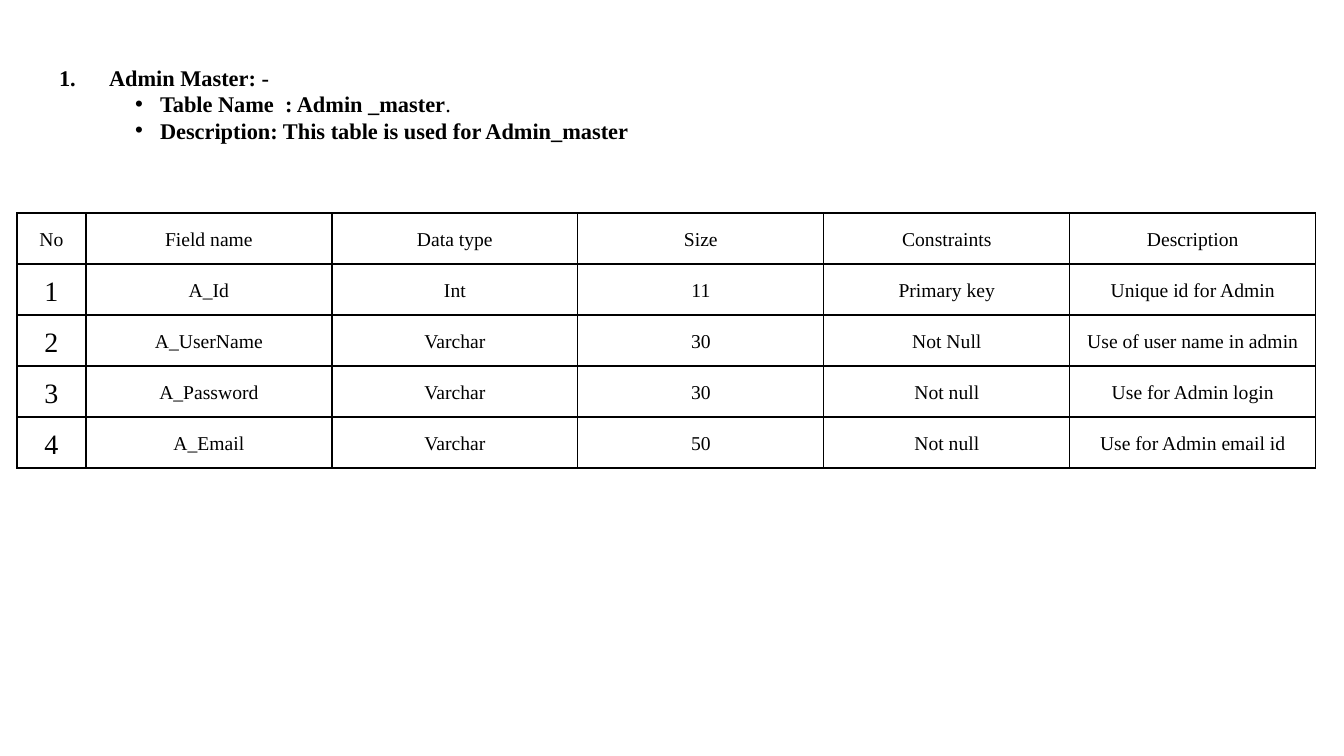
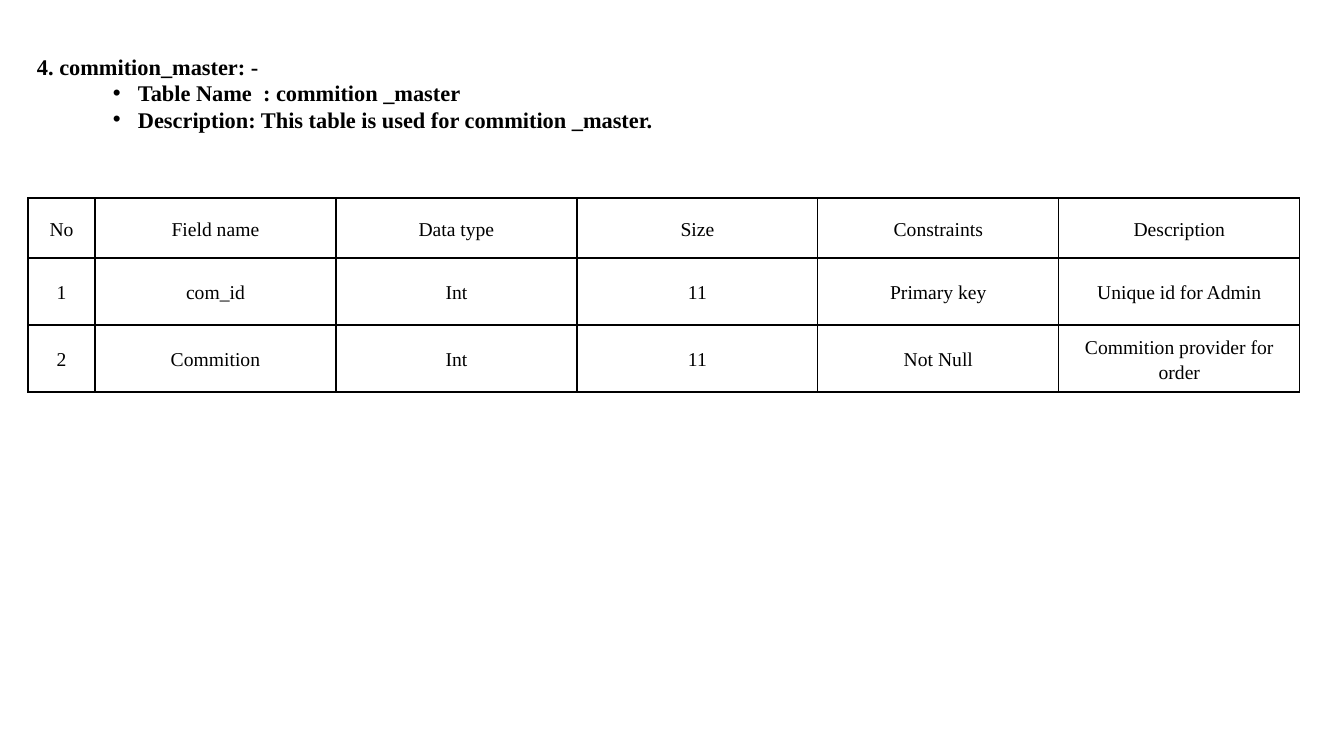
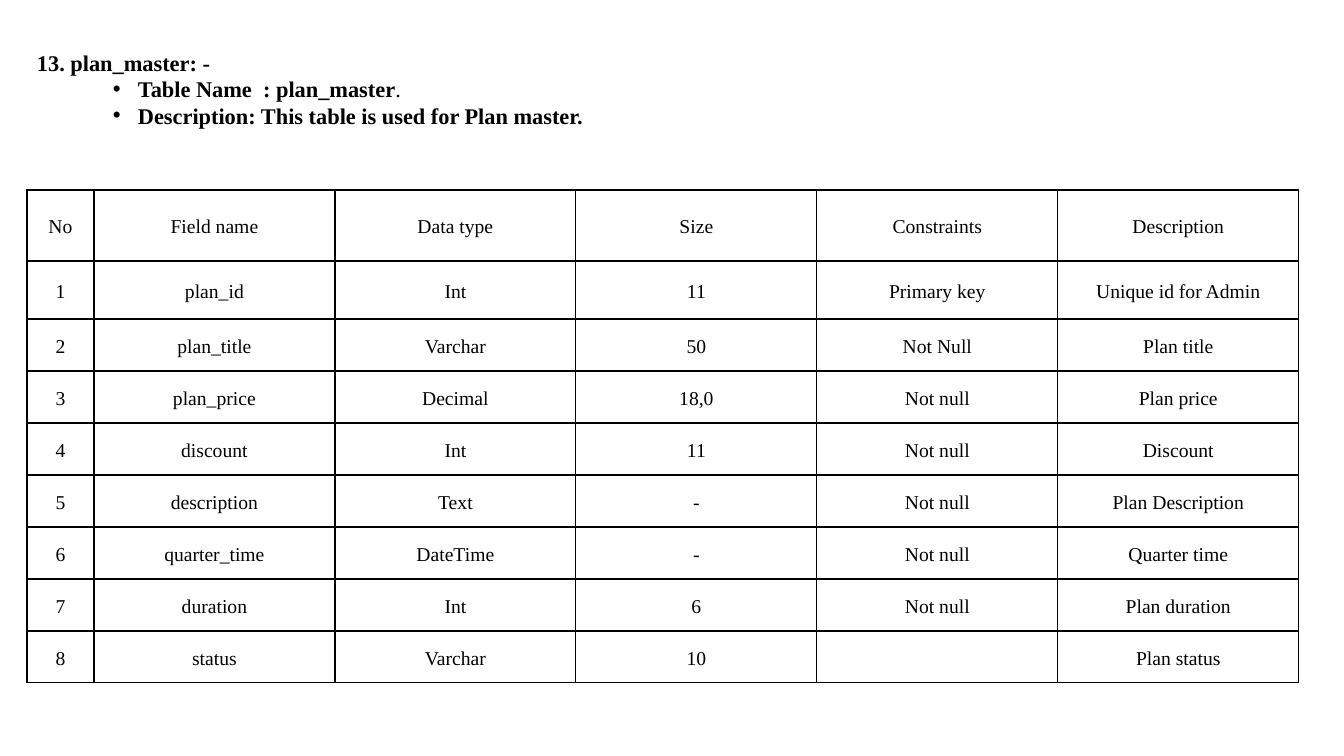
import pptx
import pptx.dml.color
import pptx.enum.text
import pptx.oxml.ns
import pptx.util
import lxml.etree

EMU_PER_PX = 12192000 / 1344
FONT = "Times New Roman"
COLORS = {"ink": "000000", "paper": "FFFFFF"}
HEADER = ["No", "Field name", "Data type", "Size", "Constraints", "Description"]
LINE_HEIGHT = 26
NUMBER_INDENT = 50
LIST_INDENT = 101
BULLET_GAP = 25
CELL_MARGIN = 7


def px(value):
    return pptx.util.Emu(round(value * EMU_PER_PX))


def add_xml(parent, tag, **attributes):
    element = lxml.etree.SubElement(parent, pptx.oxml.ns.qn(tag))
    for name, value in attributes.items():
        element.set(name, str(value))
    return element


# Content: text_at is the corner of the heading, table_at that of the table
TABLES = [
    {
        "title": "Admin Master: -", "numbered": True,
        "list": [["Table Name  : Admin _master", "."],
                 ["Description: This table is used for Admin_master"]],
        "text_at": (59, 64), "table_at": (17, 213),
        "columns": [69] + [246] * 5, "rows": [51] * 5, "number_size": 20,
        "fields": [
            ["A_Id", "Int", "11", "Primary key", "Unique id for Admin"],
            ["A_UserName", "Varchar", "30", "Not Null", "Use of user name in admin"],
            ["A_Password", "Varchar", "30", "Not null", "Use for Admin login"],
            ["A_Email", "Varchar", "50", "Not null", "Use for Admin email id"],
        ],
    },
    {
        "title": "4. commition_master: -", "numbered": False,
        "list": [["Table Name  : commition _master"],
                 ["Description: This table is used for commition _master."]],
        "text_at": (37, 53), "table_at": (28, 198),
        "columns": [67] + [241] * 5, "rows": [60, 67, 67], "number_size": 14,
        "fields": [
            ["com_id", "Int", "11", "Primary key", "Unique id for Admin"],
            ["Commition", "Int", "11", "Not Null", "Commition provider for order"],
        ],
    },
    {
        "title": "13. plan_master: -", "numbered": False,
        "list": [["Table Name  : plan_master", "."],
                 ["Description: This table is used for Plan master."]],
        "text_at": (37, 49), "table_at": (27, 190),
        "columns": [67] + [241] * 5, "rows": [71, 58] + [52] * 7, "number_size": 14,
        "fields": [
            ["plan_id", "Int", "11", "Primary key", "Unique id for Admin"],
            ["plan_title", "Varchar", "50", "Not Null", "Plan title"],
            ["plan_price", "Decimal", "18,0", "Not null", "Plan price"],
            ["discount", "Int", "11", "Not null", "Discount"],
            ["description", "Text", "-", "Not null", "Plan Description"],
            ["quarter_time", "DateTime", "-", "Not null", "Quarter time"],
            ["duration", "Int", "6", "Not null", "Plan duration"],
            ["status", "Varchar", "10", "", "Plan status"],
        ],
    },
]

presentation = pptx.Presentation()
presentation.slide_width = px(1344)
presentation.slide_height = px(756)
ink = pptx.dml.color.RGBColor.from_string(COLORS["ink"])
paper = pptx.dml.color.RGBColor.from_string(COLORS["paper"])

for content in TABLES:
    slide = presentation.slides.add_slide(presentation.slide_layouts[1])
    left, top = content["text_at"]

    # Heading and list
    title, body = slide.shapes.title, slide.placeholders[1]
    title.text_frame.text = content["title"]
    for index, parts in enumerate(content["list"]):
        if index == 0:
            paragraph = body.text_frame.paragraphs[0]
        else:
            paragraph = body.text_frame.add_paragraph()
        for part in parts:
            paragraph.add_run().text = part

    for shape, shape_top, line_count in ((title, top, 1), (body, top + LINE_HEIGHT, 2)):
        shape.left, shape.top = px(left), px(shape_top)
        shape.width, shape.height = px(1270), px(LINE_HEIGHT * line_count + 2)
        frame = shape.text_frame
        frame.word_wrap = True
        frame.auto_size = pptx.enum.text.MSO_AUTO_SIZE.NONE
        frame.vertical_anchor = pptx.enum.text.MSO_ANCHOR.TOP
        frame.margin_left = frame.margin_right = 0
        frame.margin_top = frame.margin_bottom = 0
        for paragraph in frame.paragraphs:
            paragraph.alignment = pptx.enum.text.PP_ALIGN.LEFT
            paragraph.space_before = pptx.util.Pt(0)
            properties = paragraph._p.get_or_add_pPr()
            if shape is body:
                properties.set("marL", str(px(LIST_INDENT)))
                properties.set("indent", str(px(-BULLET_GAP)))
                add_xml(properties, "a:buFont", typeface="Arial")
                add_xml(properties, "a:buChar", char="•")
            elif content["numbered"]:
                properties.set("marL", str(px(NUMBER_INDENT)))
                properties.set("indent", str(px(-NUMBER_INDENT)))
                add_xml(properties, "a:buFont", typeface=FONT)
                add_xml(properties, "a:buAutoNum", type="arabicPeriod")
            for run in paragraph.runs:
                run.font.name = FONT
                run.font.size = pptx.util.Pt(16)
                run.font.bold = run.text != "."
                run.font.color.rgb = ink

    # Field table
    rows = [HEADER] + [[str(number)] + field
                       for number, field in enumerate(content["fields"], 1)]
    table_left, table_top = content["table_at"]
    table = slide.shapes.add_table(
        len(rows), len(HEADER), px(table_left), px(table_top),
        px(sum(content["columns"])), px(sum(content["rows"]))).table
    table.first_row = table.horz_banding = False
    for column, width in zip(table.columns, content["columns"]):
        column.width = px(width)
    for row, height in zip(table.rows, content["rows"]):
        row.height = px(height)

    for row_index, texts in enumerate(rows):
        for column_index, text in enumerate(texts):
            cell = table.cell(row_index, column_index)
            cell.vertical_anchor = pptx.enum.text.MSO_ANCHOR.MIDDLE
            cell.margin_left = cell.margin_right = px(CELL_MARGIN)
            cell.margin_top = cell.margin_bottom = 0
            is_number = row_index > 0 and column_index == 0
            cell.text_frame.text = text
            paragraph = cell.text_frame.paragraphs[0]
            paragraph.alignment = pptx.enum.text.PP_ALIGN.CENTER
            paragraph.line_spacing = 1.15
            paragraph.font.size = pptx.util.Pt(14)
            for run in paragraph.runs:
                run.font.name = FONT
                run.font.size = pptx.util.Pt(content["number_size"] if is_number else 14)
                run.font.color.rgb = ink

            # Borders come before the fill in the cell properties
            cell_properties = cell._tc.get_or_add_tcPr()
            for side in ("a:lnL", "a:lnR", "a:lnT", "a:lnB"):
                line = add_xml(cell_properties, side, w=pptx.util.Pt(1))
                line_fill = add_xml(line, "a:solidFill")
                add_xml(line_fill, "a:srgbClr", val=COLORS["ink"])
            cell.fill.solid()
            cell.fill.fore_color.rgb = paper

presentation.save("out.pptx")
